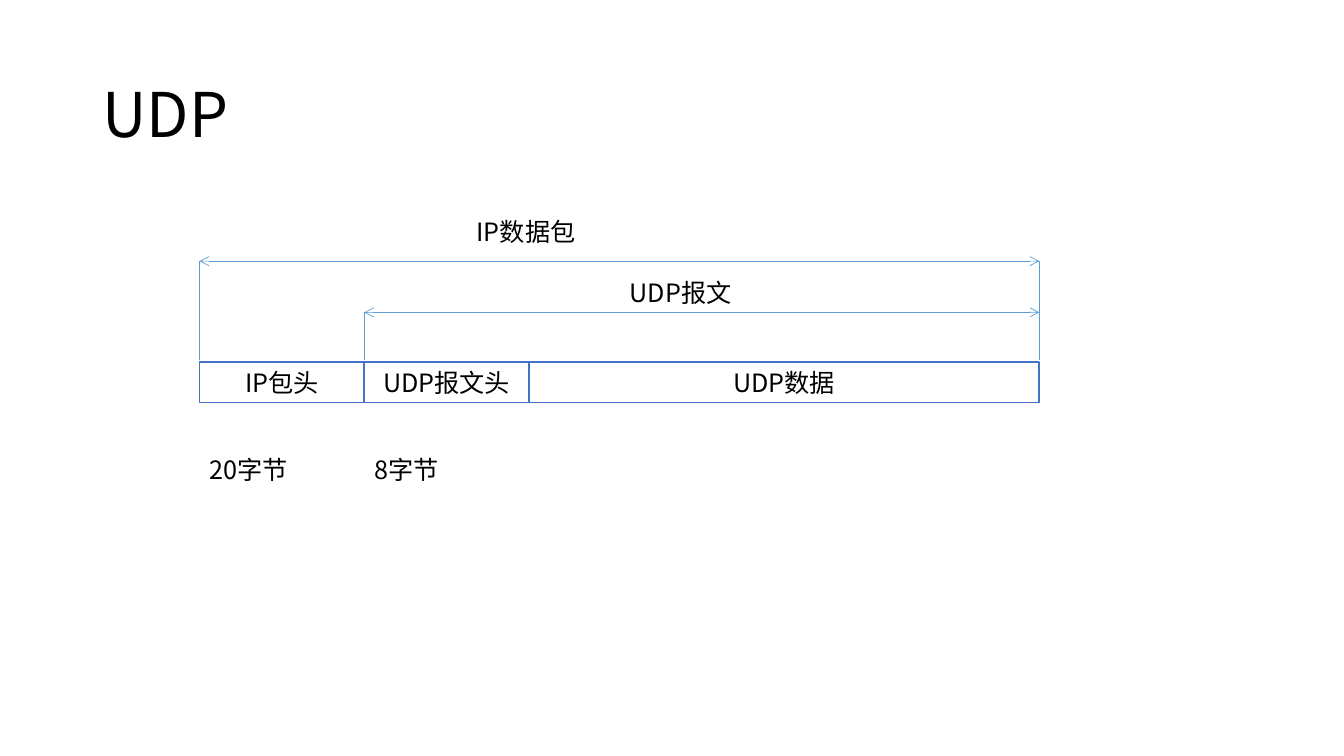
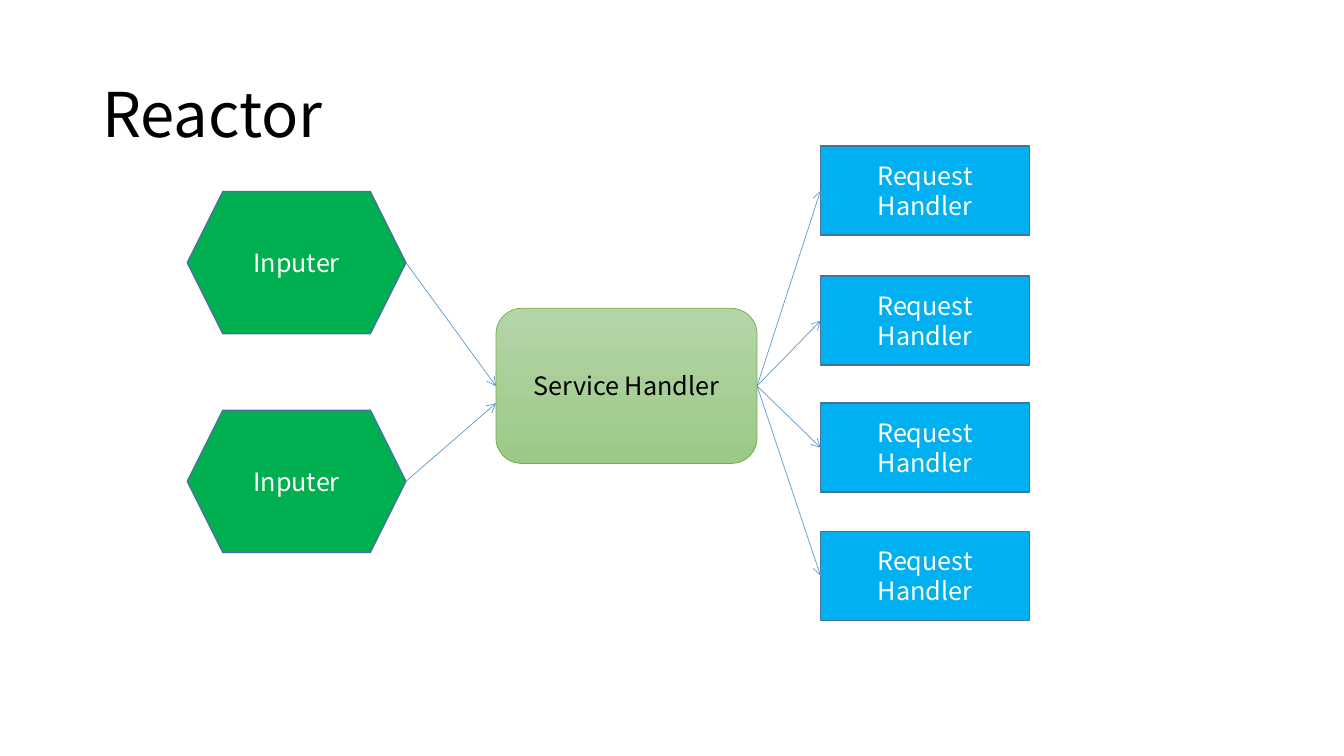
import pptx
import pptx.util
import pptx.dml.color
import pptx.enum.shapes
import pptx.enum.text
import pptx.oxml.ns
from lxml import etree

Cm = pptx.util.Cm
Pt = pptx.util.Pt
KIND = pptx.enum.shapes.MSO_SHAPE
ALIGN = pptx.enum.text.PP_ALIGN
MID = pptx.enum.text.MSO_ANCHOR.MIDDLE
FONT = "Noto Sans CJK SC"
HUE = {
    "ink": "000000", "white": "FFFFFF", "cell": "4472C4", "wire": "5B9BD5",
    "green": "00B050", "sky": "00B0F0", "edge": "43739E",
    "light": "B5D5A7", "dark": "9CC987", "rim": "70AD47",
}
TITLE = {"size": 44, "lead": 52}
BODY = {"size": 18, "lead": 21.6}

FIELDS = [("IP包头", 4.15, "20字节"), ("UDP报文头", 4.15, "8字节"), ("UDP数据", 12.86, None)]
SPANS = [("IP数据包", 0, 6.58, 11.76, 5.33), ("UDP报文", 1, 7.87, 15.62, 6.86)]
ROW = {"left": 5.03, "top": 9.12, "high": 1.02, "note": 11.33, "foot": 9.07}

INPUTS = [("Inputer", 4.83, 9.73), ("Inputer", 10.34, 10.16)]
CORE = ("Service Handler", (12.5, 7.77, 6.58, 3.91))
OUTPUTS = [("Request Handler", top) for top in (3.68, 6.96, 10.16, 13.39)]
IN_BOX = {"left": 4.72, "wide": 5.51, "high": 3.58}
OUT_BOX = {"left": 20.68, "wide": 5.26, "high": 2.24}


def color(name):
    return pptx.dml.color.RGBColor.from_string(HUE[name])


def write(shape, text, form, ink="ink", align=ALIGN.LEFT):
    frame = shape.text_frame
    para = frame.paragraphs[0]
    run = para.add_run()
    run.text = text
    for target, values in (
        (frame, {"word_wrap": True, "vertical_anchor": MID}),
        (para, {"alignment": align, "line_spacing": Pt(form["lead"])}),
        (run.font, {"name": FONT, "size": Pt(form["size"])}),
    ):
        for key, value in values.items():
            setattr(target, key, value)
    run.font.color.rgb = color(ink)
    east = etree.SubElement(run.font._element, pptx.oxml.ns.qn("a:ea"))
    east.set("typeface", FONT)
    run.font._element.find(pptx.oxml.ns.qn("a:latin")).addnext(east)


def label(slide, text, box, form=BODY):
    write(slide.shapes.add_textbox(*map(Cm, box)), text, form)


def block(slide, kind, text, box, fill, edge, ink="ink", width=1):
    shape = slide.shapes.add_shape(kind, *map(Cm, box))
    shape.shadow.inherit = False
    if isinstance(fill, tuple):
        shape.fill.gradient()
        shape.fill.gradient_angle = 270
        for stop, name in zip(shape.fill.gradient_stops, fill):
            stop.color.rgb = color(name)
    else:
        shape.fill.solid()
        shape.fill.fore_color.rgb = color(fill)
    shape.line.color.rgb = color(edge)
    shape.line.width = Pt(width)
    write(shape, text, BODY, ink, ALIGN.CENTER)


def wire(slide, start, end, tips=()):
    line = slide.shapes.add_connector(
        pptx.enum.shapes.MSO_CONNECTOR.STRAIGHT, *map(Cm, start + end))
    line.line.color.rgb = color("wire")
    line.line.width = Pt(0.5)
    props = line._element.spPr
    for tip in tips:
        mark = etree.SubElement(props.find(pptx.oxml.ns.qn("a:ln")), pptx.oxml.ns.qn("a:" + tip))
        mark.set("type", "arrow")
    etree.SubElement(props, pptx.oxml.ns.qn("a:effectLst"))


def page(deck, title):
    slide = deck.slides.add_slide(deck.slide_layouts[6])
    label(slide, title, (2.33, 1.02, 29.21, 3.68), TITLE)
    return slide


def packet(deck):
    slide = page(deck, "UDP")
    edges = [ROW["left"]]
    for text, wide, note in FIELDS:
        left = edges[-1]
        block(slide, KIND.RECTANGLE, text, (left, ROW["top"], wide, ROW["high"]), "white", "cell")
        if note:
            label(slide, note, (left, ROW["note"], wide, ROW["high"]))
        edges.append(left + wide)
    right = edges[-1]
    for text, first, level, left, top in SPANS:
        start = edges[first]
        wire(slide, (start, level), (start, ROW["foot"]))
        wire(slide, (start, level), (right, level), ("headEnd", "tailEnd"))
        label(slide, text, (left, top, 5.7, ROW["high"]))
    wire(slide, (right, SPANS[0][2]), (right, ROW["foot"]))


def reactor(deck):
    slide = page(deck, "Reactor")
    text, box = CORE
    left, top, wide, high = box
    block(slide, KIND.ROUNDED_RECTANGLE, text, box, ("light", "dark"), "rim", width=0.5)
    for text, y, goal in INPUTS:
        x, w, h = IN_BOX.values()
        block(slide, KIND.HEXAGON, text, (x, y, w, h), "green", "edge", "white")
        wire(slide, (x + w, y + h / 2), (left, goal), ("tailEnd",))
    for text, y in OUTPUTS:
        x, w, h = OUT_BOX.values()
        block(slide, KIND.RECTANGLE, text, (x, y, w, h), "sky", "edge", "white")
        wire(slide, (left + wide, top + high / 2), (x, y + h / 2), ("tailEnd",))


def main():
    deck = pptx.Presentation()
    for key, value in {"slide_width": Cm(33.87), "slide_height": Cm(19.05)}.items():
        setattr(deck, key, value)
    packet(deck)
    reactor(deck)
    deck.save("out.pptx")


if __name__ == "__main__":
    main()
